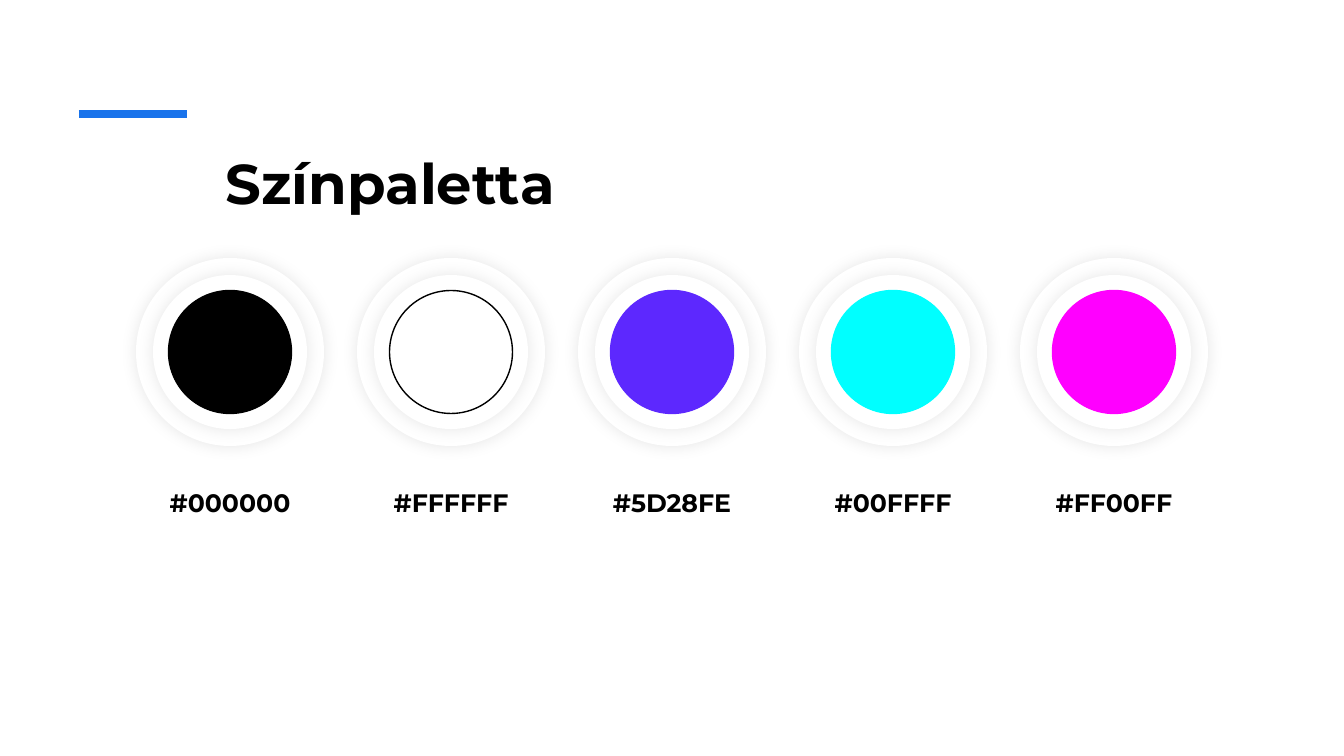
import pptx
import pptx.util
import pptx.dml.color
import pptx.enum.shapes
import pptx.enum.text
import pptx.oxml
import pptx.oxml.ns
from lxml import etree

TITLE = "Színpaletta"
SWATCHES = ["000000", "FFFFFF", "5D28FE", "00FFFF", "FF00FF"]
COLORS = {"background": "FFFFFF", "accent": "1973EB", "text": "000000",
          "ring": "FFFFFF", "outline": "000000", "shadow": "000000"}
FONT = "Montserrat"

SLIDE_SIZE = (1344, 756)
ACCENT_LINE = (79, 114, 187, 114)
TITLE_BOX = (216, 143, 781, 79)
FIRST_CENTER, CENTER_Y, PITCH = 230, 352, 221
RING_DIAMETERS = (188, 154)
SWATCH_DIAMETER = 123
LABEL_TOP, LABEL_HEIGHT = 482, 40
SHADOW_BLUR, SHADOW_ALPHA = 12, 10


def px(value):
    return pptx.util.Emu(round(value * 914400 / 100.8))


def rgb(color):
    return pptx.dml.color.RGBColor.from_string(color)


def add_text(slide, box, text, size, alignment, anchor):
    shape = slide.shapes.add_textbox(*map(px, box))
    frame = shape.text_frame
    frame.word_wrap = True
    frame.vertical_anchor = anchor
    paragraph = frame.paragraphs[0]
    paragraph.alignment = alignment
    run = paragraph.add_run()
    run.text = text
    run.font.name = FONT
    run.font.size = pptx.util.Pt(size)
    run.font.bold = True
    run.font.color.rgb = rgb(COLORS["text"])


def add_circle(slide, center_x, diameter, fill, line=None):
    shape = slide.shapes.add_shape(
        pptx.enum.shapes.MSO_SHAPE.OVAL, px(center_x - diameter / 2),
        px(CENTER_Y - diameter / 2), px(diameter), px(diameter))
    shape.shadow.inherit = False
    shape.fill.solid()
    shape.fill.fore_color.rgb = rgb(fill)
    if line:
        shape.line.color.rgb = rgb(line)
        shape.line.width = pptx.util.Pt(1)
    else:
        shape.line.fill.background()
    return shape


def add_glow_shadow(shape):
    """Give the shape a faint blurred shadow with no offset."""
    qn = pptx.oxml.ns.qn
    effects = shape.element.spPr.find(qn("a:effectLst"))
    shadow = etree.SubElement(
        effects, qn("a:outerShdw"), blurRad=str(pptx.util.Pt(SHADOW_BLUR)),
        dist="0", dir="0", algn="ctr", rotWithShape="0")
    color = etree.SubElement(shadow, qn("a:srgbClr"), val=COLORS["shadow"])
    etree.SubElement(color, qn("a:alpha"), val=str(SHADOW_ALPHA * 1000))


def main():
    align = pptx.enum.text.PP_ALIGN
    anchor = pptx.enum.text.MSO_ANCHOR
    presentation = pptx.Presentation()
    presentation.slide_width, presentation.slide_height = map(px, SLIDE_SIZE)
    slide = presentation.slides.add_slide(presentation.slide_layouts[6])
    slide.background.fill.solid()
    slide.background.fill.fore_color.rgb = rgb(COLORS["background"])

    accent = slide.shapes.add_connector(
        pptx.enum.shapes.MSO_CONNECTOR.STRAIGHT, *map(px, ACCENT_LINE))
    accent.line.color.rgb = rgb(COLORS["accent"])
    accent.line.width = pptx.util.Pt(6)
    etree.SubElement(accent.element.spPr, pptx.oxml.ns.qn("a:effectLst"))

    add_text(slide, TITLE_BOX, TITLE, 40, align.LEFT, anchor.MIDDLE)

    label_width = RING_DIAMETERS[0]
    for index, color in enumerate(SWATCHES):
        center_x = FIRST_CENTER + index * PITCH
        for diameter in RING_DIAMETERS:
            add_glow_shadow(add_circle(slide, center_x, diameter, COLORS["ring"]))
        outline = COLORS["outline"] if color == COLORS["background"] else color
        add_circle(slide, center_x, SWATCH_DIAMETER, color, outline)
        label_box = (center_x - label_width / 2, LABEL_TOP, label_width, LABEL_HEIGHT)
        add_text(slide, label_box, "#" + color, 18, align.CENTER, anchor.TOP)

    presentation.save("out.pptx")


if __name__ == "__main__":
    main()
